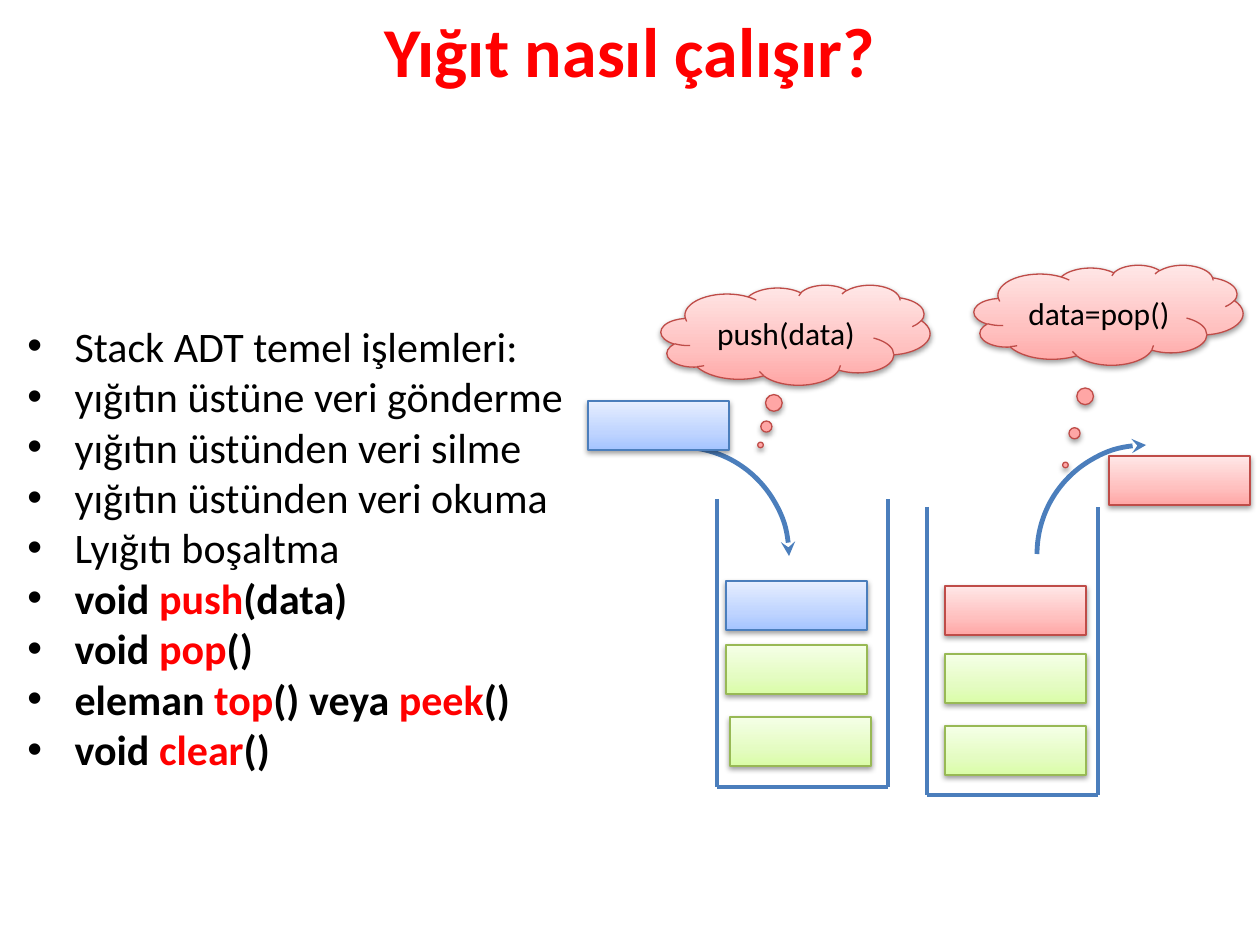
import copy
import lxml.etree
import pptx
import pptx.dml.color
import pptx.enum.shapes
import pptx.enum.text
import pptx.oxml
import pptx.oxml.ns
import pptx.util

SCALE = 914400 / 126
SHAPES = pptx.enum.shapes.MSO_SHAPE
COLORS = {"accent": "FF0000", "text": "000000", "line": "4B7EBC"}
THEMES = {
    "blue": ("4B7EBC", ("A4C4FF", "BFD4FF", "E6EEFF")),
    "green": ("98B955", ("DAFDA7", "E4FCC2", "F5FFE7")),
    "red": ("BF4C48", ("FFA6A5", "FFC0BF", "FFE7E7")),
}
STOPS = (0, 0.35, 1)
BLOCK_SIZE = (141, 49)
STACK_SIZE = (171, 288)
ARC_SIZE = 218
OPERATIONS = (
    "Stack ADT temel işlemleri:",
    "yığıtın üstüne veri gönderme",
    "yığıtın üstünden veri silme",
    "yığıtın üstünden veri okuma",
    "Lyığıtı boşaltma",
    "void |push|(data)",
    "void |pop|()",
    "eleman |top|() veya |peek|()",
    "void |clear|()",
)


def px(*values):
    return [pptx.util.Emu(round(value * SCALE)) for value in values]


def rgb(value):
    return pptx.dml.color.RGBColor.from_string(value)


def add_element(parent, tag, **attributes):
    element = lxml.etree.SubElement(parent, pptx.oxml.ns.qn(tag))
    for name, value in attributes.items():
        element.set(name, str(value))
    return element


def set_font(font, size, color="text", bold=False):
    font.name = "Calibri"
    font.size = pptx.util.Pt(size)
    font.bold = bold
    font.color.rgb = rgb(COLORS[color])


def set_line(line, color, width):
    line.color.rgb = rgb(color)
    line.width = pptx.util.Pt(width)


def add_themed_shape(page, kind, box, theme):
    shape = page.shapes.add_shape(kind, *px(*box))
    outline, shades = THEMES[theme]
    set_line(shape.line, outline, 0.75)
    shape.fill.gradient()
    shape.fill.gradient_angle = 90
    stop_list = shape.element.spPr.find(".//" + pptx.oxml.ns.qn("a:gsLst"))
    stop_list.insert(1, copy.deepcopy(stop_list[0]))
    for stop, position, shade in zip(shape.fill.gradient_stops, STOPS, shades):
        stop.position = position
        stop.color.rgb = rgb(shade)
    shape.shadow.inherit = False
    effects = shape.element.spPr.find(pptx.oxml.ns.qn("a:effectLst"))
    shadow = add_element(effects, "a:outerShdw", blurRad=40000, dist=20000,
                         dir=5400000, rotWithShape=0)
    shade = add_element(shadow, "a:srgbClr", val="000000")
    add_element(shade, "a:alpha", val=38000)
    return shape


def add_title(page, box):
    frame = page.shapes.add_textbox(*px(*box)).text_frame
    frame.word_wrap = True
    frame.vertical_anchor = pptx.enum.text.MSO_ANCHOR.MIDDLE
    para = frame.paragraphs[0]
    para.text = "Yığıt nasıl çalışır?"
    para.alignment = pptx.enum.text.PP_ALIGN.CENTER
    set_font(para.font, 40, "accent", True)


def add_operations(page, box):
    frame = page.shapes.add_textbox(*px(*box)).text_frame
    frame.word_wrap = True
    for index, operation in enumerate(OPERATIONS):
        para = frame.add_paragraph() if index else frame.paragraphs[0]
        properties = para._p.get_or_add_pPr()
        properties.set("marL", "342900")
        properties.set("indent", "-342900")
        add_element(properties, "a:buFont", typeface="Arial")
        add_element(properties, "a:buChar", char="•")
        parts = operation.split("|")
        set_font(para.font, 24, bold=len(parts) > 1)
        for place, part in enumerate(parts):
            span = para.add_run()
            span.text = part
            if place % 2:
                span.font.color.rgb = rgb(COLORS["accent"])


def add_walls(page, left, top):
    width, height = STACK_SIZE
    corners = [(left, top), (left, top + height),
               (left + width, top + height), (left + width, top)]
    group = page.shapes.add_group_shape()
    for start, end in zip(corners, corners[1:]):
        wall = group.shapes.add_connector(
            pptx.enum.shapes.MSO_CONNECTOR.STRAIGHT, *px(*start, *end))
        set_line(wall.line, COLORS["line"], 2.5)
        add_element(wall.element.spPr, "a:effectLst")


def add_arc(page, left, top, rotation):
    arc = page.shapes.add_shape(SHAPES.ARC, *px(left, top, ARC_SIZE, ARC_SIZE))
    arc.rotation = rotation
    arc.fill.background()
    arc.shadow.inherit = False
    set_line(arc.line, COLORS["line"], 2.75)
    add_element(arc.line._get_or_add_ln(), "a:tailEnd", type="stealth")


def add_cloud(page, box, label, pointer):
    cloud = add_themed_shape(page, SHAPES.CLOUD_CALLOUT, box, "red")
    for index, value in enumerate(pointer):
        cloud.adjustments[index] = value
    frame = cloud.text_frame
    frame.vertical_anchor = pptx.enum.text.MSO_ANCHOR.MIDDLE
    para = frame.paragraphs[0]
    para.text = label
    para.alignment = pptx.enum.text.PP_ALIGN.CENTER
    set_font(para.font, 18)


def add_stack(page, left, top, arc, rotation, cloud, label, pointer, blocks):
    add_walls(page, left, top)
    add_arc(page, left + arc[0], top + arc[1], rotation)
    add_cloud(page, (left + cloud[0], top + cloud[1], 269, 100), label, pointer)
    for x, y, theme in blocks:
        add_themed_shape(page, SHAPES.RECTANGLE,
                         (left + x, top + y, *BLOCK_SIZE), theme)


def main():
    deck = pptx.Presentation()
    deck.slide_width, deck.slide_height = px(1260, 945)
    page = deck.slides.add_slide(deck.slide_layouts[6])
    add_title(page, (0, -4, 1260, 107))
    add_stack(page, 717, 499, (-146, -52), 0, (-56, -214), "push(data)",
              (-0.13, 1.1),
              ((13, 218, "green"), (9, 146, "green"), (9, 82, "blue"),
               (-129, -98, "blue")))
    add_stack(page, 927, 507, (110, -62), 270, (47, -242), "data=pop()",
              (-0.16, 1.5),
              ((18, 219, "green"), (18, 147, "green"), (18, 79, "red"),
               (182, -51, "red")))
    add_operations(page, (15, 314, 595, 509))
    deck.save("out.pptx")


if __name__ == "__main__":
    main()
